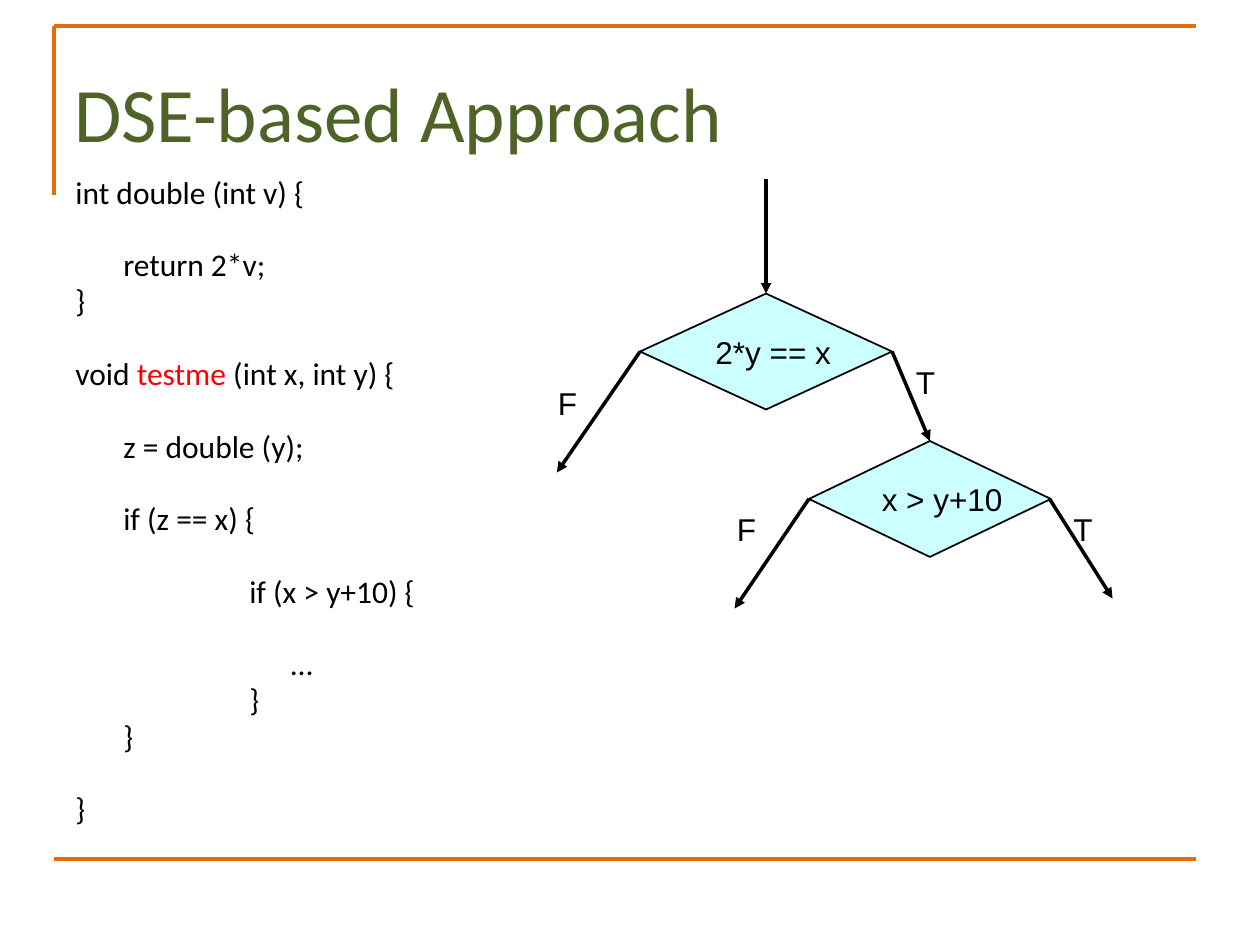
from dataclasses import dataclass
from typing import Any

from lxml import etree
from pptx import Presentation
from pptx import util as u
from pptx.dml import color
from pptx.enum import shapes, text
from pptx.oxml import ns

ORANGE, GREEN, CYAN = "E46C0A", "4F6228", "CCFFFF"
BLACK, RED = "000000", "FF0000"


def rgb(value):
    return color.RGBColor.from_string(value)


def add_text(para, content, font="Arial", size=18, ink=BLACK):
    span = para.add_run()
    span.text = content
    span.font.name = font
    span.font.size = u.Pt(size)
    span.font.color.rgb = rgb(ink)


@dataclass
class Sketch:
    page: Any
    body_font: str = "Calibri"
    label_font: str = "Arial"
    ink: str = BLACK

    def line(self, start, end, ink=None, width=2, arrow=False):
        ends = [u.Inches(value) for value in (*start, *end)]
        link = self.page.shapes.add_connector(shapes.MSO_CONNECTOR.STRAIGHT, *ends)
        link.line.color.rgb = rgb(ink or self.ink)
        link.line.width = u.Pt(width)
        if arrow:
            etree.SubElement(link.line._get_or_add_ln(), ns.qn("a:tailEnd"), type="triangle")
        etree.SubElement(link._element.spPr, ns.qn("a:effectLst"))

    def box(self, left, top, width, height):
        box = self.page.shapes.add_textbox(*map(u.Inches, (left, top, width, height)))
        box.text_frame.word_wrap = True
        return box.text_frame

    def title(self, content, *area):
        frame = self.box(*area)
        frame.vertical_anchor = text.MSO_ANCHOR.MIDDLE
        add_text(frame.paragraphs[0], content, font=self.body_font, size=44, ink=GREEN)

    def label(self, content, left, top):
        frame = self.box(left, top, 0.5, 0.4)
        add_text(frame.paragraphs[0], content, font=self.label_font)

    def decision(self, content, left, top, width, height):
        area = map(u.Inches, (left, top, width, height))
        shape = self.page.shapes.add_shape(shapes.MSO_SHAPE.DIAMOND, *area)
        shape.shadow.inherit = False
        shape.fill.solid()
        shape.fill.fore_color.rgb = rgb(CYAN)
        shape.line.color.rgb = rgb(self.ink)
        shape.line.width = u.Pt(1)
        frame = shape.text_frame
        frame.word_wrap = False
        frame.vertical_anchor = text.MSO_ANCHOR.MIDDLE
        para = frame.paragraphs[0]
        para.alignment = text.PP_ALIGN.LEFT
        add_text(para, content, font=self.label_font)

    def code(self, rows, *area):
        frame = self.box(*area)
        for number, (indent, gap, spans) in enumerate(rows):
            para = frame.add_paragraph() if number else frame.paragraphs[0]
            para.line_spacing = 0.8
            para.space_before = u.Pt(gap)
            para._p.get_or_add_pPr().set("marL", str(u.Inches(indent)))
            for content, ink in spans:
                add_text(para, content, font=self.body_font, ink=ink)


deck = Presentation()
deck.slide_width, deck.slide_height = u.Inches(10), u.Inches(7.5)
sketch = Sketch(deck.slides.add_slide(deck.slide_layouts[6]))

left, right, top, bottom = 0.43, 9.49, 0.21, 6.82
for start, end in (
    ((left, top), (left, 1.55)),
    ((left, top), (right, top)),
    ((left, bottom), (right, bottom)),
):
    sketch.line(start, end, ink=ORANGE, width=2.25)

sketch.title("DSE-based Approach", 0.49, 0.62, 9, 0.53)

TIGHT, LOOSE = 3.3, 24.2
STEP, NESTED, INNER = 0.38, 1.38, 1.71
sketch.code(
    [
        (0, 0, [("int double (int v) {", BLACK)]),
        (STEP, LOOSE, [("return 2*v;", BLACK)]),
        (0, TIGHT, [("}", BLACK)]),
        (0, LOOSE, [("void ", BLACK), ("testme ", RED), ("(int x, int y) {", BLACK)]),
        (STEP, LOOSE, [("z = double (y);", BLACK)]),
        (STEP, LOOSE, [("if (z == x) {", BLACK)]),
        (NESTED, LOOSE, [("if (x > y+10) {", BLACK)]),
        (INNER, LOOSE, [("…", BLACK)]),
        (NESTED, TIGHT, [("}", BLACK)]),
        (STEP, TIGHT, [("}", BLACK)]),
        (0, LOOSE, [("}", BLACK)]),
    ],
    0.5, 1.38, 4.42, 5.53,
)

sketch.decision("2*y == x", 5.08, 2.33, 2, 0.92)
sketch.decision("x > y+10", 6.42, 3.5, 1.92, 0.92)

for start, end in (
    ((6.08, 1.42), (6.08, 2.33)),
    ((5.08, 2.79), (4.42, 3.75)),
    ((7.08, 2.79), (7.38, 3.5)),
    ((6.42, 3.96), (5.83, 4.83)),
    ((8.33, 3.96), (8.83, 4.75)),
):
    sketch.line(start, end, arrow=True)

for content, x, y in (("T", 7.17, 2.83), ("T", 8.42, 4), ("F", 4.33, 3), ("F", 5.75, 4)):
    sketch.label(content, x, y)

deck.save("out.pptx")
